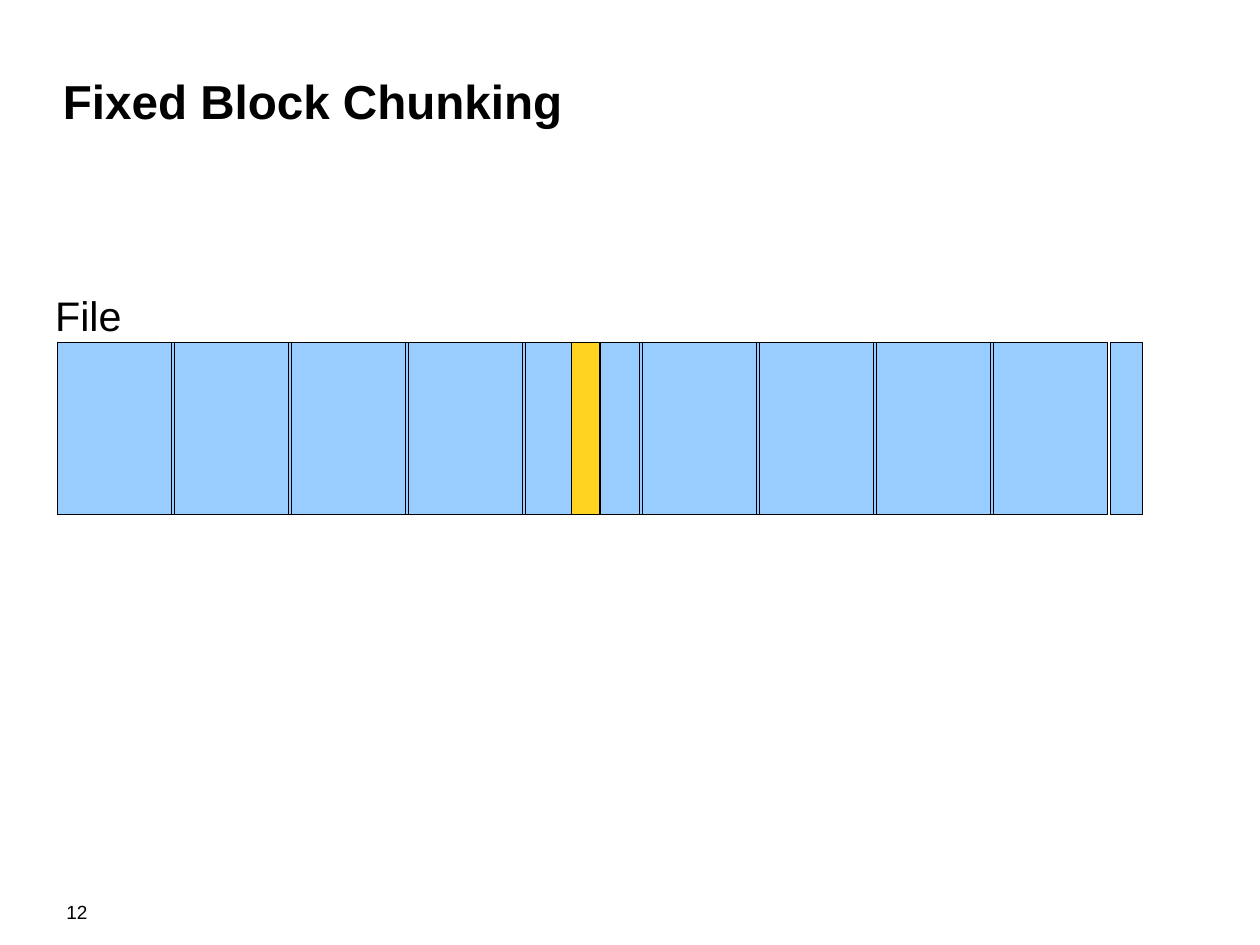
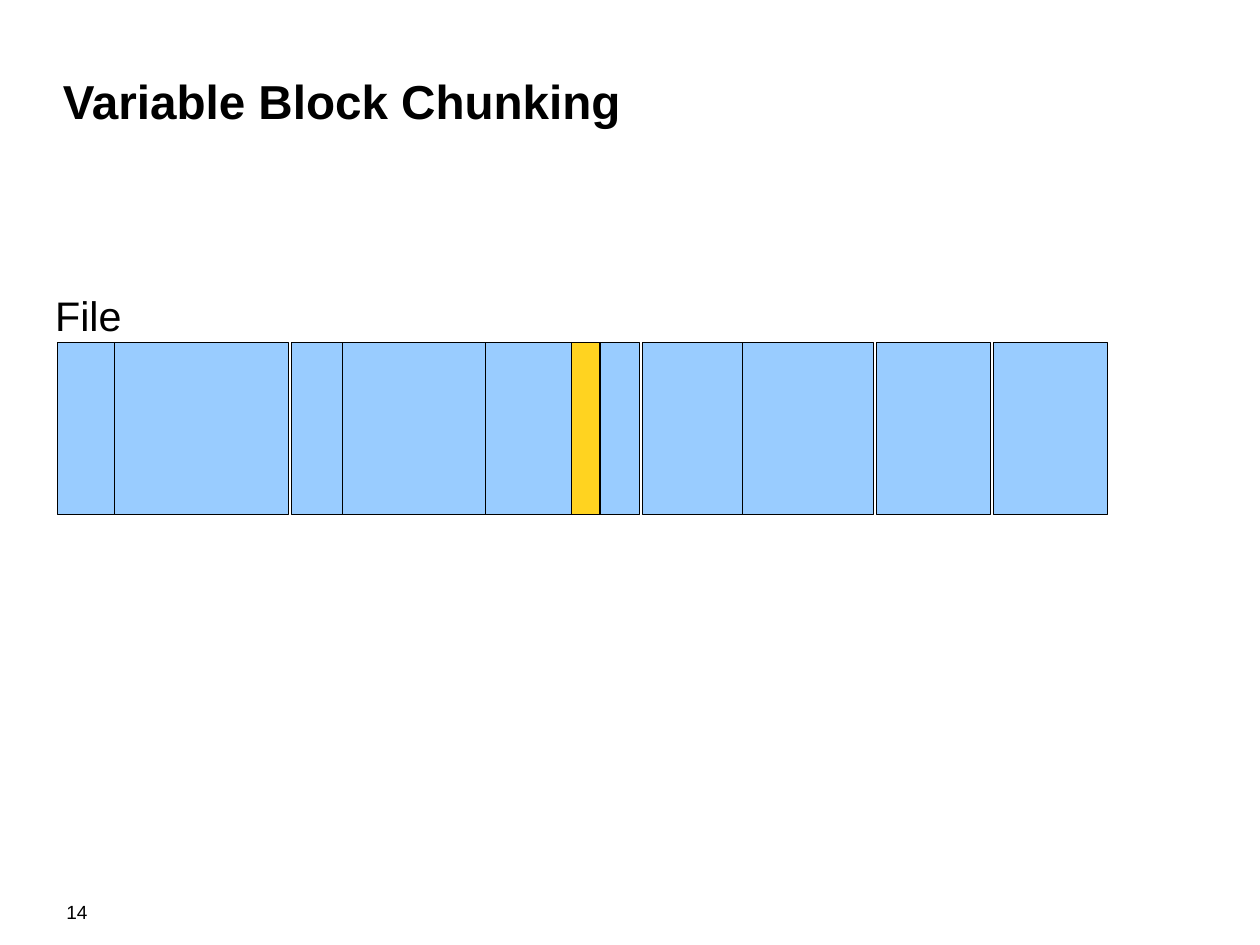
from pptx import Presentation
from pptx.dml.color import RGBColor
from pptx.enum import shapes, text
from pptx.util import Pt

BLACK = RGBColor(0x00, 0x00, 0x00)
BLOCK_BLUE = RGBColor(0x99, 0xCC, 0xFF)
CHANGE_YELLOW = RGBColor(0xFF, 0xD3, 0x20)
FONT = "Arial"

SLIDE_WIDTH, SLIDE_HEIGHT = 793.75, 595.25
TITLE_BOX = (39.6, 18, 644.4, 90)
NUMBER_BOX = (41.76, 567.36, 90, 18)
FILE_BOX = (36, 216, 684, 108)

SLOT_COUNT = 9
SLOT_WIDTH = 72
SLOT_PITCH = 73.72
UNDERLAY_WIDTH = 630
CHANGE_LEFT, CHANGE_WIDTH = 324, 18

# First slot, last slot and the inner cuts, measured from the start of the file
VARIABLE_GROUPS = [
    (0, 1, [36]),
    (2, 4, [180, 270]),
    (5, 6, [432]),
    (7, 7, []),
    (8, 8, []),
]


def add_text(slide, box, words, size, bold=False, anchor=text.MSO_ANCHOR.TOP,
             margins=(0, 0), wrap=True):
    """Place one line of text; margins are horizontal and vertical."""
    shape = slide.shapes.add_textbox(*map(Pt, box))
    frame = shape.text_frame
    frame.word_wrap = wrap
    frame.vertical_anchor = anchor
    frame.margin_left = frame.margin_right = Pt(margins[0])
    frame.margin_top = frame.margin_bottom = Pt(margins[1])
    run = frame.paragraphs[0].add_run()
    run.text = words
    run.font.name = FONT
    run.font.size = Pt(size)
    run.font.bold = bold
    run.font.color.rgb = BLACK


def add_block(slide, file_box, start, width, color=BLOCK_BLUE):
    """Draw a block that begins at start within the file."""
    left, top, _, height = file_box
    shape = slide.shapes.add_shape(
        shapes.MSO_SHAPE.RECTANGLE, Pt(left + start), Pt(top), Pt(width), Pt(height))
    shape.shadow.inherit = False
    shape.fill.solid()
    shape.fill.fore_color.rgb = color
    shape.line.color.rgb = BLACK
    shape.line.width = Pt(0)


def add_file_label(slide, file_box):
    left, top = file_box[:2]
    add_text(slide, (left - 8.4, top - 36.72, 56.16, 36), "File", 26,
             margins=(7.2, 3.6), wrap=False)


def add_changed_part(slide, file_box):
    add_block(slide, file_box, CHANGE_LEFT, CHANGE_WIDTH, CHANGE_YELLOW)


def draw_fixed_file(slide, file_box):
    add_block(slide, file_box, 0, UNDERLAY_WIDTH)
    for slot in range(SLOT_COUNT):
        add_block(slide, file_box, slot * SLOT_PITCH, SLOT_WIDTH)
    add_changed_part(slide, file_box)
    tail_start = SLOT_COUNT * SLOT_PITCH
    add_block(slide, file_box, tail_start, file_box[2] - tail_start)
    add_file_label(slide, file_box)


def draw_variable_file(slide, file_box):
    for first, last, cuts in VARIABLE_GROUPS:
        edges = [first * SLOT_PITCH, *cuts, last * SLOT_PITCH + SLOT_WIDTH]
        for start, end in zip(edges, edges[1:]):
            add_block(slide, file_box, start, end - start)
    add_changed_part(slide, file_box)
    add_file_label(slide, file_box)


def add_slide(presentation, title, number):
    """Add a blank slide with the shared title and page number."""
    slide = presentation.slides.add_slide(presentation.slide_layouts[6])
    add_text(slide, NUMBER_BOX, number, 12)
    add_text(slide, TITLE_BOX, title, 30, bold=True, anchor=text.MSO_ANCHOR.MIDDLE)
    return slide


def main():
    presentation = Presentation()
    presentation.slide_width = Pt(SLIDE_WIDTH)
    presentation.slide_height = Pt(SLIDE_HEIGHT)
    draw_fixed_file(add_slide(presentation, "Fixed Block Chunking", "12"), FILE_BOX)
    draw_variable_file(add_slide(presentation, "Variable Block Chunking", "14"), FILE_BOX)
    presentation.save("out.pptx")


if __name__ == "__main__":
    main()
